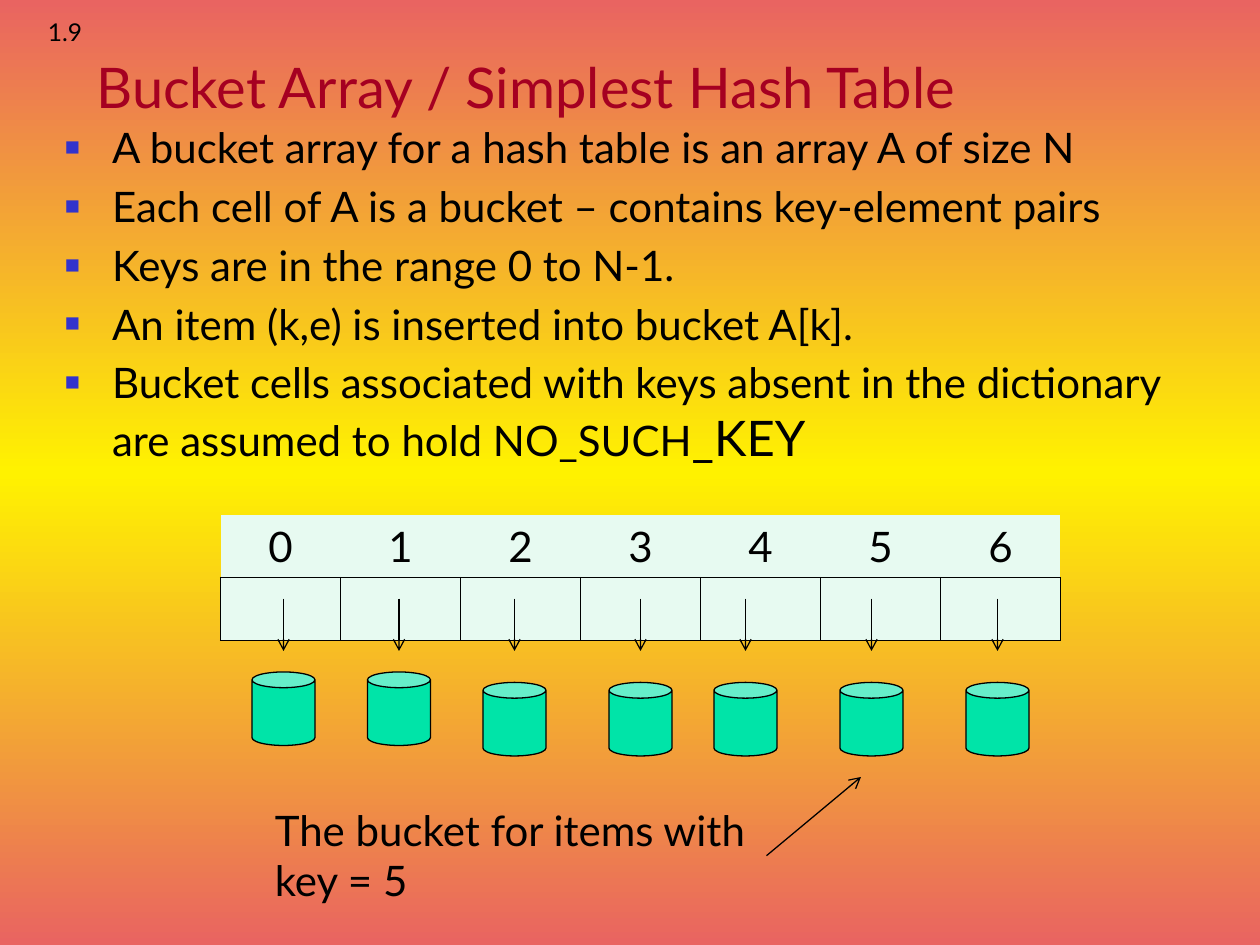
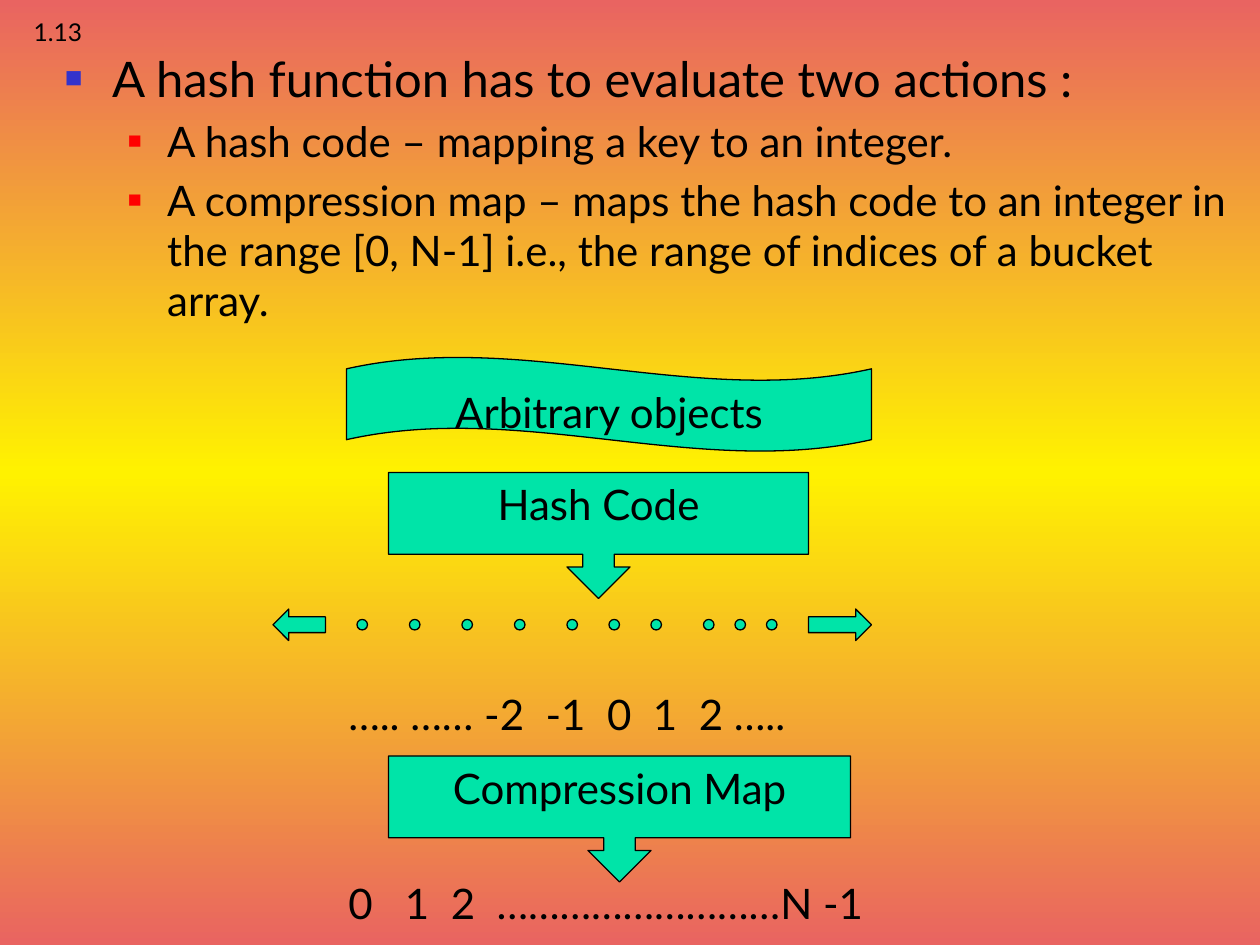
from copy import deepcopy
from itertools import accumulate

from lxml import etree
from pptx import Presentation
from pptx.dml.color import RGBColor
from pptx.enum import shapes, text
from pptx.oxml.ns import qn
from pptx.util import Pt

FONT = "Lato"
BLACK, CRIMSON, GREEN, MINT = "000000", "A50021", "00E4A8", "E7FAF1"
EDGE, MIDDLE = "E96461", "FFF200"
# Left margin, bullet colour and bullet size in percent, by level
BULLETS = [(27, 27, "3333CC", 60), (58.5, 22.5, "FF0000", 55)]
NO_TABLE_STYLE = "{2D5ABB26-0587-4C30-8999-92F81FD0307C}"
SHAPE = shapes.MSO_SHAPE
ALIGN = text.PP_ALIGN


def rgb(value):
    return RGBColor.from_string(value)


def sub(parent, tag, **attrs):
    return etree.SubElement(parent, qn(tag), attrs)


def add_run(p, content, size=24, color=BLACK):
    r = p.add_run()
    r.text = content
    r.font.size, r.font.name = Pt(size), FONT
    r.font.color.rgb = rgb(color)


def write(tf, content, size=24, color=BLACK, align=ALIGN.LEFT, anchor=text.MSO_ANCHOR.TOP):
    tf.word_wrap = True
    tf.vertical_anchor = anchor
    p = tf.paragraphs[0]
    p.alignment = align
    add_run(p, content, size, color)


def add_label(slide, box, content, **fmt):
    sp = slide.shapes.add_textbox(*map(Pt, box))
    write(sp.text_frame, content, **fmt)
    return sp


def add_bullets(slide, box, items):
    """Each item is a level followed by its (text, size) runs."""
    tf = slide.shapes.add_textbox(*map(Pt, box)).text_frame
    tf.word_wrap = True
    for i, (level, *runs) in enumerate(items):
        p = tf.paragraphs[0] if i == 0 else tf.add_paragraph()
        p.level = level
        p.space_before = Pt(0.2 * runs[0][1])
        for content, size in runs:
            add_run(p, content, size)
        margin, hang, color, percent = BULLETS[level]
        pPr = p._p.get_or_add_pPr()
        pPr.set("marL", str(Pt(margin)))
        pPr.set("indent", str(-Pt(hang)))
        sub(sub(pPr, "a:buClr"), "a:srgbClr", val=color)
        sub(pPr, "a:buSzPct", val=str(percent * 1000))
        sub(pPr, "a:buFont", typeface="Arial")
        sub(pPr, "a:buChar", char="■")


def add_green(slide, kind, box, content=None):
    sp = slide.shapes.add_shape(kind, *map(Pt, box))
    sp.shadow.inherit = False
    sp.fill.solid()
    sp.fill.fore_color.rgb = rgb(GREEN)
    sp.line.color.rgb = rgb(BLACK)
    sp.line.width = Pt(0.75)
    if content:
        write(sp.text_frame, content, align=ALIGN.CENTER)


def add_arrow(slide, x1, y1, x2, y2):
    line = slide.shapes.add_connector(shapes.MSO_CONNECTOR.STRAIGHT, *map(Pt, (x1, y1, x2, y2)))
    line.line.color.rgb = rgb(BLACK)
    line.line.width = Pt(0.75)
    sub(line.line._get_or_add_ln(), "a:tailEnd", type="arrow")
    sub(line._element.spPr, "a:effectLst")
    return line


def add_slide(prs, number):
    """Slide with the shared gradient background and its number."""
    slide = prs.slides.add_slide(prs.slide_layouts[6])
    fill = slide.background.fill
    fill.gradient()
    fill.gradient_angle = 270
    for stop, position in zip(fill.gradient_stops, (0, 1)):
        stop.color.rgb, stop.position = rgb(EDGE), position
    stops = next(slide.element.iter(qn("a:gsLst")))
    middle = deepcopy(stops[0])
    middle.set("pos", "50000")
    middle.find(qn("a:srgbClr")).set("val", MIDDLE)
    stops.insert(1, middle)
    add_label(slide, (0, 0, 54, 30), number, size=14, align=ALIGN.RIGHT,
              anchor=text.MSO_ANCHOR.BOTTOM)
    return slide


def add_borders(cell, sides):
    tcPr = cell._tc.get_or_add_tcPr()
    for i, side in enumerate(sides):
        ln = etree.Element(qn(f"a:ln{side}"), w=str(Pt(1)))
        sub(sub(ln, "a:solidFill"), "a:srgbClr", val=BLACK)
        tcPr.insert(i, ln)


def add_bucket_array(slide, left, top, width, row_height, size):
    frame = slide.shapes.add_table(2, size, *map(Pt, (left, top, width, 2 * row_height)))
    table = frame.table
    table.first_row = table.horz_banding = False
    table._tbl.tblPr.find(qn("a:tableStyleId")).text = NO_TABLE_STYLE
    for column in table.columns:
        column.width = Pt(width / size)
    for k in range(size):
        for row, sides in enumerate(("B", "LRTB")):
            cell = table.cell(row, k)
            cell.fill.solid()
            cell.fill.fore_color.rgb = rgb(MINT)
            add_borders(cell, sides)
        p = table.cell(0, k).text_frame.paragraphs[0]
        p.alignment = ALIGN.CENTER
        add_run(p, str(k))


def add_buckets(slide, left, top):
    """Arrows out of the array cells, each above its bucket."""
    width, height = 36, 42
    steps = [0, 66, 66, 72, 60, 72, 72]
    for k, dx in enumerate(accumulate(steps)):
        x = left + dx
        add_arrow(slide, x + width / 2, top, x + width / 2, top + 30)
        drop = 42 if k < 2 else 48
        add_green(slide, SHAPE.CAN, (x, top + drop, width, height))


def add_integer_line(slide, left, top):
    """Dots for the integers between two outward arrows."""
    add_green(slide, SHAPE.LEFT_ARROW, (left, top, 30, 18))
    for dx in accumulate([48, 30, 30, 30, 30, 24, 24, 30, 18, 18]):
        add_green(slide, SHAPE.OVAL, (left + dx, top + 6, 6, 6))
    add_green(slide, SHAPE.RIGHT_ARROW, (left + 306, top, 36, 18))


def add_hash_steps(slide, left, top):
    """Flow from arbitrary objects through integers to bucket indices."""
    callout = SHAPE.DOWN_ARROW_CALLOUT
    add_green(slide, SHAPE.WAVE, (left + 42, top, 300, 54), "Arbitrary objects")
    add_green(slide, callout, (left + 66, top + 66, 240, 72), "Hash Code")
    add_integer_line(slide, left, top + 144)
    add_label(slide, (left + 36, top + 186, 330, 42), "….. …… -2  -1  0  1  2 …..")
    add_green(slide, callout, (left + 66, top + 228, 264, 72), "Compression Map")
    add_label(slide, (left + 36, top + 294, 330, 42), "0   1  2  ………………………N -1")


def bucket_array_slide(prs):
    slide = add_slide(prs, "1.9")
    add_label(slide, (48, 24, 602, 48), "Bucket Array / Simplest Hash Table", size=32,
              color=CRIMSON, anchor=text.MSO_ANCHOR.BOTTOM)
    add_bullets(slide, (30, 66, 678, 462), [
        (0, ("A bucket array for a hash table is an array A of size N", 24)),
        (0, ("Each cell of A is a bucket – contains key-element pairs", 24)),
        (0, ("Keys are in the range 0 to N-1.", 24)),
        (0, ("An item (k,e) is inserted into bucket A[k].", 24)),
        (0, ("Bucket cells associated with keys absent in the dictionary "
             "are assumed to hold NO_SUCH", 24), ("_KEY", 28)),
    ])
    add_bucket_array(slide, 126, 294, 480, 36, size=7)
    add_buckets(slide, 144, 342)
    caption = add_label(slide, (150, 456, 288, 66), "The bucket for items with key = 5")
    pointer = add_arrow(slide, 438, 489, 492, 444)
    pointer.begin_connect(caption, 3)


def hash_function_slide(prs):
    slide = add_slide(prs, "1.13")
    add_bullets(slide, (30, 24, 678, 504), [
        (0, ("A hash function has to evaluate two actions :", 28)),
        (1, ("A hash code – mapping a key to an integer.", 24)),
        (1, ("A compression map – maps the hash code to an integer in the range "
             "[0, N-1] i.e., the range of indices of a bucket array.", 24)),
    ])
    add_hash_steps(slide, 156, 204)


def main():
    prs = Presentation()
    prs.slide_width, prs.slide_height = Pt(720), Pt(540)
    bucket_array_slide(prs)
    hash_function_slide(prs)
    prs.save("out.pptx")


if __name__ == "__main__":
    main()
